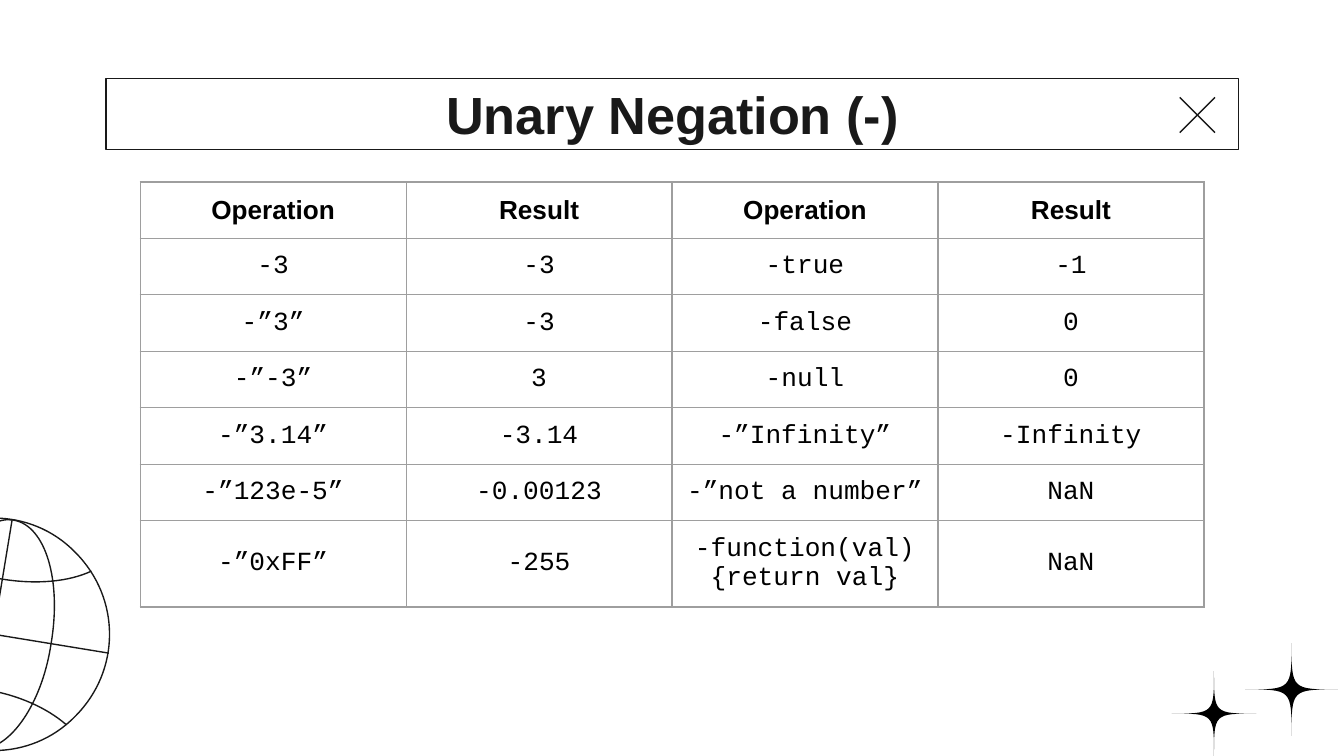
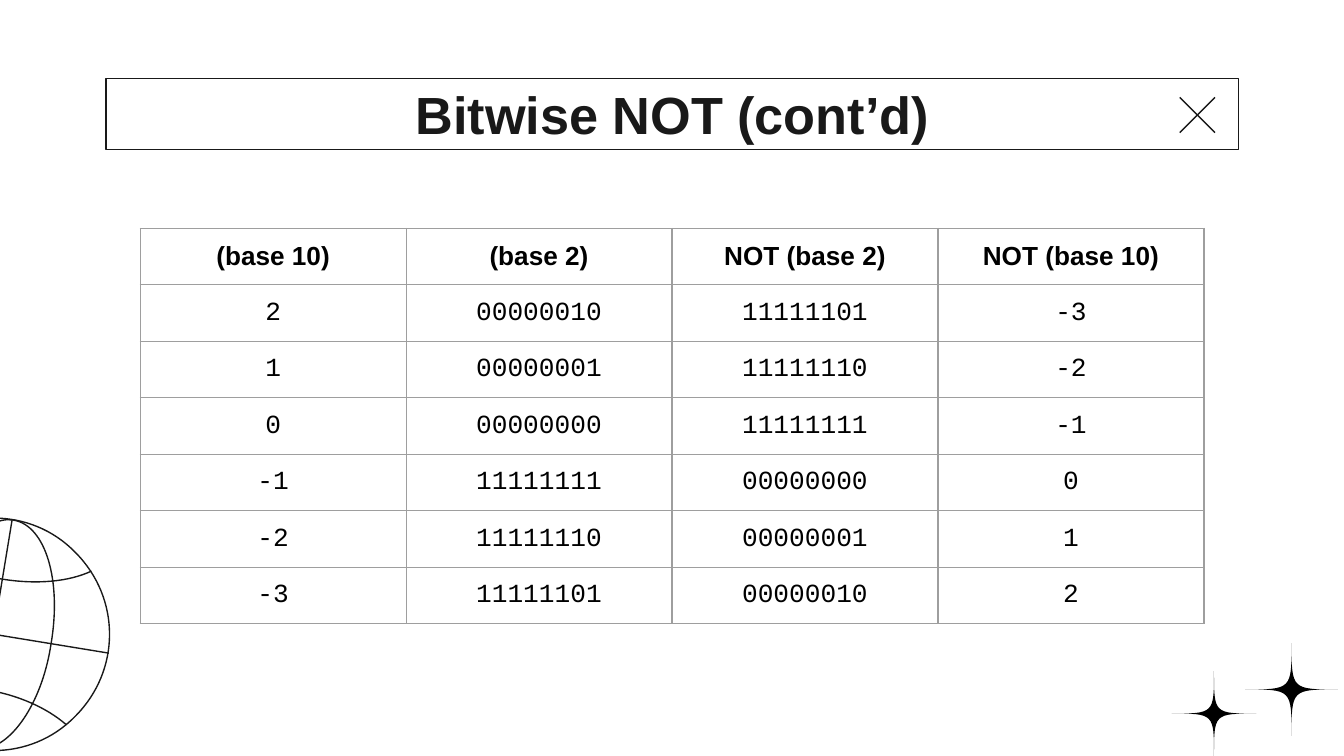
from dataclasses import dataclass

from lxml import etree
from pptx import Presentation
from pptx.dml.color import RGBColor
from pptx.enum.shapes import MSO_CONNECTOR, MSO_SHAPE
from pptx.enum.text import MSO_ANCHOR, PP_ALIGN
from pptx.oxml.ns import qn
from pptx.util import Inches, Pt

STRAIGHT = MSO_CONNECTOR.STRAIGHT
RECTANGLE = MSO_SHAPE.RECTANGLE
MIDDLE, CENTER = MSO_ANCHOR.MIDDLE, PP_ALIGN.CENTER


@dataclass(frozen=True)
class Theme:
    ink: str = "191919"
    black: str = "000000"
    grid: str = "9E9E9E"
    heading_font: str = "Arial"
    code_font: str = "Courier New"
    title_size: int = 28
    table_size: int = 14
    line_width: float = 0.75


theme = Theme()
presentation = Presentation()
presentation.slide_width, presentation.slide_height = Inches(10), Inches(5.625)
blank_layout = presentation.slide_layouts[6]

# All places are in grid units: the slide is 100 columns wide, with square cells.
UNIT = presentation.slide_width // 100
INSET = UNIT
TABLE_LEFT, COLUMN_WIDTH, ROW_HEIGHT = 10.43, 19.79, 4.19

STARS = [(96.1, 51.3, 3.45), (90.33, 53.1, 3.15)]  # centre x, centre y, reach
GLOBE_RIM = [
    (5.6, 41.1), (9, 44.5), (9, 49.9), (5.6, 53.3), (2.3, 56.7), (-3.2, 56.7),
    (-6.6, 53.3), (-10, 49.9), (-10, 44.5), (-6.6, 41.1), (-3.2, 37.7), (2.3, 37.7),
    (5.6, 41.1),
]
MERIDIAN = [
    (1, 38.7), (3.4, 39.1), (4.6, 43.2), (3.8, 47.9), (3.1, 52.6), (0.5, 56.1),
    (-1.8, 55.7), (-4.1, 55.3), (-5.3, 51.2), (-4.6, 46.5), (-3.8, 41.8), (-1.3, 38.3),
    (1, 38.7),
]
PARALLELS = [
    [(6.8, 42.5), (5.1, 43.3), (2.7, 43.5), (0.2, 43.1),
     (-2.3, 42.7), (-4.5, 41.7), (-5.9, 40.5)],
    [(-7.8, 51.8), (-6, 51.1), (-3.7, 50.9), (-1.2, 51.3),
     (1.4, 51.7), (3.5, 52.7), (4.9, 53.9)],
]
GLOBE_AXES = [(-1.9, 55.7, 0.9, 38.7), (-9, 45.8, 8.1, 48.6)]
TITLE_BOX = (7.9, 5.83, 84.25, 5.3)
CLOSE_MARK = [(87.78, 7.25, 90.4, 9.87), (87.78, 9.87, 90.4, 7.25)]

SLIDES = [
    ("Unary Negation (-)", 13.54, [
        ("Operation", "Result", "Operation", "Result"),
        ("-3", "-3", "-true", "-1"),
        ("-”3”", "-3", "-false", "0"),
        ("-”-3”", "3", "-null", "0"),
        ("-”3.14”", "-3.14", "-”Infinity”", "-Infinity"),
        ("-”123e-5”", "-0.00123", "-”not a number”", "NaN"),
        ("-”0xFF”", "-255", "-function(val){return val}", "NaN"),
    ]),
    ("Bitwise NOT (cont’d)", 17, [
        ("(base 10)", "(base 2)", "NOT (base 2)", "NOT (base 10)"),
        ("2", "00000010", "11111101", "-3"),
        ("1", "00000001", "11111110", "-2"),
        ("0", "00000000", "11111111", "-1"),
        ("-1", "11111111", "00000000", "0"),
        ("-2", "11111110", "00000001", "1"),
        ("-3", "11111101", "00000010", "2"),
    ]),
]


def add_curve(slide, points):
    """Draw joined cubic Bézier curves: a start, then three points for each curve."""
    scaled = [(UNIT * x, UNIT * y) for x, y in points]
    builder = slide.shapes.build_freeform(*scaled[0])
    builder.add_line_segments(scaled[1:], close=points[0] == points[-1])
    shape = builder.convert_to_shape()
    segments = list(shape._element.iter(qn("a:lnTo")))
    for first in range(0, len(segments), 3):
        curve = etree.Element(qn("a:cubicBezTo"))
        segments[first].addprevious(curve)
        for segment in segments[first:first + 3]:
            curve.append(segment[0])
            segment.getparent().remove(segment)
    shape.shadow.inherit = False
    return shape


def write_text(frame, text, font_name, size, color, bold):
    paragraph = frame.paragraphs[0]
    paragraph.alignment = CENTER
    run = paragraph.add_run()
    run.text = text
    run.font.name, run.font.size, run.font.bold = font_name, Pt(size), bold
    run.font.color.rgb = RGBColor.from_string(color)


for title, table_top, rows in SLIDES:
    slide = presentation.slides.add_slide(blank_layout)

    # Four-pointed stars
    for x, y, reach in STARS:
        center = (x, y)
        tips = [(x, y - reach), (x - reach, y), (x, y + reach), (x + reach, y)]
        outline = [tips[0]]
        for tip in tips[1:] + tips[:1]:
            outline += [center, center, tip]
        star = add_curve(slide, outline)
        star.fill.solid()
        star.fill.fore_color.rgb = RGBColor.from_string(theme.black)
        star.line.fill.background()

    # Globe, title box and close mark share one thin outline
    outlined = [add_curve(slide, curve) for curve in [GLOBE_RIM, MERIDIAN] + PARALLELS]
    title_box = slide.shapes.add_shape(RECTANGLE, *(int(UNIT * value) for value in TITLE_BOX))
    title_box.shadow.inherit = False
    outlined.append(title_box)
    for shape in outlined:
        shape.fill.background()

    for ends in GLOBE_AXES + CLOSE_MARK:
        line = slide.shapes.add_connector(STRAIGHT, *(int(UNIT * value) for value in ends))
        etree.SubElement(line._element.spPr, qn("a:effectLst"))
        outlined.append(line)
    for shape in outlined:
        shape.line.color.rgb = RGBColor.from_string(theme.ink)
        shape.line.width = Pt(theme.line_width)

    frame = title_box.text_frame
    frame.word_wrap = True
    frame.vertical_anchor = MIDDLE
    frame.margin_left = frame.margin_right = frame.margin_top = frame.margin_bottom = INSET
    write_text(frame, title, theme.heading_font, theme.title_size, theme.ink, True)

    # Table
    column_count = len(rows[0])
    table_box = (TABLE_LEFT, table_top, COLUMN_WIDTH * column_count, ROW_HEIGHT * len(rows))
    table = slide.shapes.add_table(
        len(rows), column_count, *(int(UNIT * value) for value in table_box)).table
    table.first_row = table.horz_banding = False
    for row_index, row in enumerate(rows):
        is_header = row_index == 0
        font_name = theme.heading_font if is_header else theme.code_font
        for column_index, text in enumerate(row):
            cell = table.cell(row_index, column_index)
            properties = cell._tc.get_or_add_tcPr()
            for side in ("a:lnL", "a:lnR", "a:lnT", "a:lnB"):
                border = etree.SubElement(properties, qn(side), w=str(Pt(theme.line_width)))
                border_fill = etree.SubElement(border, qn("a:solidFill"))
                etree.SubElement(border_fill, qn("a:srgbClr"), val=theme.grid)
            cell.fill.background()
            cell.vertical_anchor = MIDDLE
            cell.margin_left = cell.margin_right = INSET
            cell.margin_top = cell.margin_bottom = INSET
            write_text(cell.text_frame, text, font_name, theme.table_size,
                       theme.black, is_header)

presentation.save("out.pptx")
